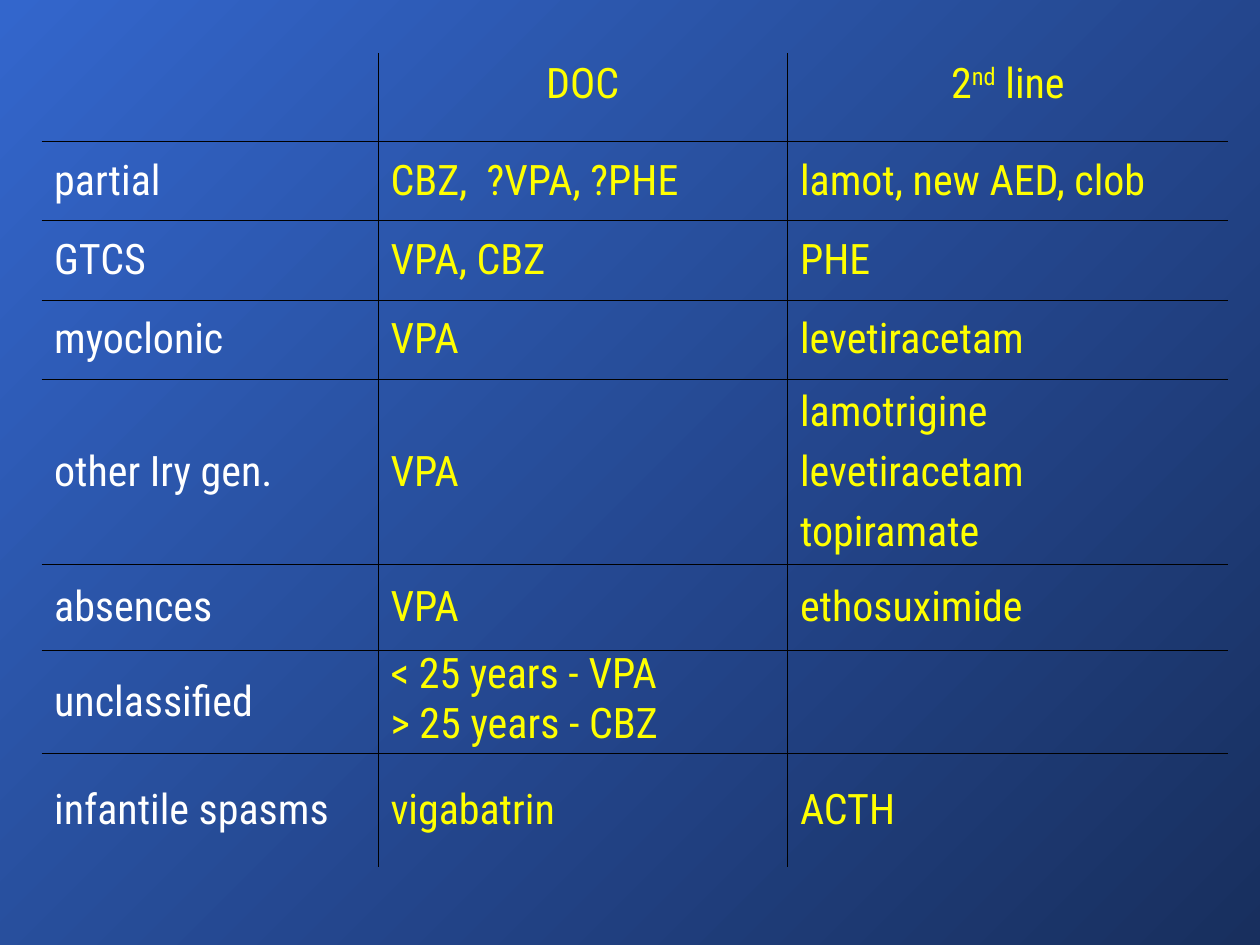
from lxml.etree import SubElement
from pptx import Presentation
from pptx.dml.color import RGBColor
from pptx.enum.text import MSO_ANCHOR as Anchor, PP_ALIGN as Align
from pptx.oxml.ns import qn
from pptx.util import Inches, Pt

WHITE = RGBColor(0xFF, 0xFF, 0xFF)
YELLOW = RGBColor(0xFF, 0xFF, 0x00)
BLACK = RGBColor(0x00, 0x00, 0x00)
BLUE = RGBColor(0x33, 0x66, 0xCC)
NAVY = RGBColor(0x18, 0x2F, 0x5E)
FONT = "Roboto Condensed"

COLUMNS = [2.67, 3.25, 3.5]
ROWS = [
    (0.7, ["", "DOC", "2^nd^ line"]),
    (0.63, ["partial", "CBZ,  ?VPA, ?PHE", "lamot, new AED, clob"]),
    (0.63, ["GTCS", "VPA, CBZ", "PHE"]),
    (0.63, ["myoclonic", "VPA", "levetiracetam"]),
    (1.47, ["other Iry gen.", "VPA", "lamotrigine\nlevetiracetam\ntopiramate"]),
    (0.68, ["absences", "VPA", "ethosuximide"]),
    (0.82, ["unclassified", "< 25 years - VPA\n> 25 years - CBZ", ""]),
    (0.9, ["infantile spasms", "vigabatrin", "ACTH"]),
]
TIGHT_ROW = 6


def set_borders(cell, visible):
    """Draw the visible sides of a cell and hide the others."""
    properties = cell._tc.get_or_add_tcPr()
    for side in "LRTB":
        line = SubElement(properties, qn(f"a:ln{side}"), w=str(Pt(0.45)))
        if side in visible:
            fill = SubElement(line, qn("a:solidFill"))
            SubElement(fill, qn("a:srgbClr"), val=str(BLACK))
        else:
            SubElement(line, qn("a:noFill"))


def write_cell(cell, text, color, align, spacing):
    """Write one paragraph per line, with carets around superscripts."""
    for index, line in enumerate(text.split("\n")):
        frame = cell.text_frame
        para = frame.add_paragraph() if index else frame.paragraphs[0]
        para.alignment = align
        para.line_spacing = spacing
        if index:
            para.space_before = Pt(6)
        para.font.size = Pt(24)
        para.font.name = FONT
        for part, words in enumerate(line.split("^")):
            if not words:
                continue
            span = para.add_run()
            span.text = words
            span.font.size = Pt(24)
            span.font.name = FONT
            span.font.color.rgb = color
            if part % 2:
                span.font._element.set("baseline", "30000")


def add_drug_table(page):
    """Add the table of first and second choices."""
    heights = [height for height, _ in ROWS]
    table = page.shapes.add_table(
        len(ROWS), len(COLUMNS), Inches(0.33), Inches(0.42),
        Inches(sum(COLUMNS)), Inches(sum(heights))).table
    table.first_row = table.horz_banding = False
    for column, width in zip(table.columns, COLUMNS):
        column.width = Inches(width)
    for r, (height, texts) in enumerate(ROWS):
        table.rows[r].height = Inches(height)
        for c, text in enumerate(texts):
            cell = table.cell(r, c)
            inner = {"L": c > 0, "R": c < len(COLUMNS) - 1,
                     "T": r > 0, "B": r < len(ROWS) - 1}
            set_borders(cell, [side for side, shown in inner.items() if shown])
            cell.fill.background()
            cell.vertical_anchor = Anchor.MIDDLE if r else Anchor.TOP
            write_cell(cell, text, YELLOW if c else WHITE,
                       Align.LEFT if r else Align.CENTER,
                       0.8 if r == TIGHT_ROW and c == 1 else 1.0)


def main():
    """Build the slide and save it."""
    deck = Presentation()
    deck.slide_width, deck.slide_height = Inches(10), Inches(7.5)
    page = deck.slides.add_slide(deck.slide_layouts[6])
    fill = page.background.fill
    fill.gradient()
    fill.gradient_angle = 315
    for stop, color, position in zip(fill.gradient_stops, (BLUE, NAVY), (0, 1)):
        stop.color.rgb = color
        stop.position = position
    add_drug_table(page)
    deck.save("out.pptx")


if __name__ == "__main__":
    main()
